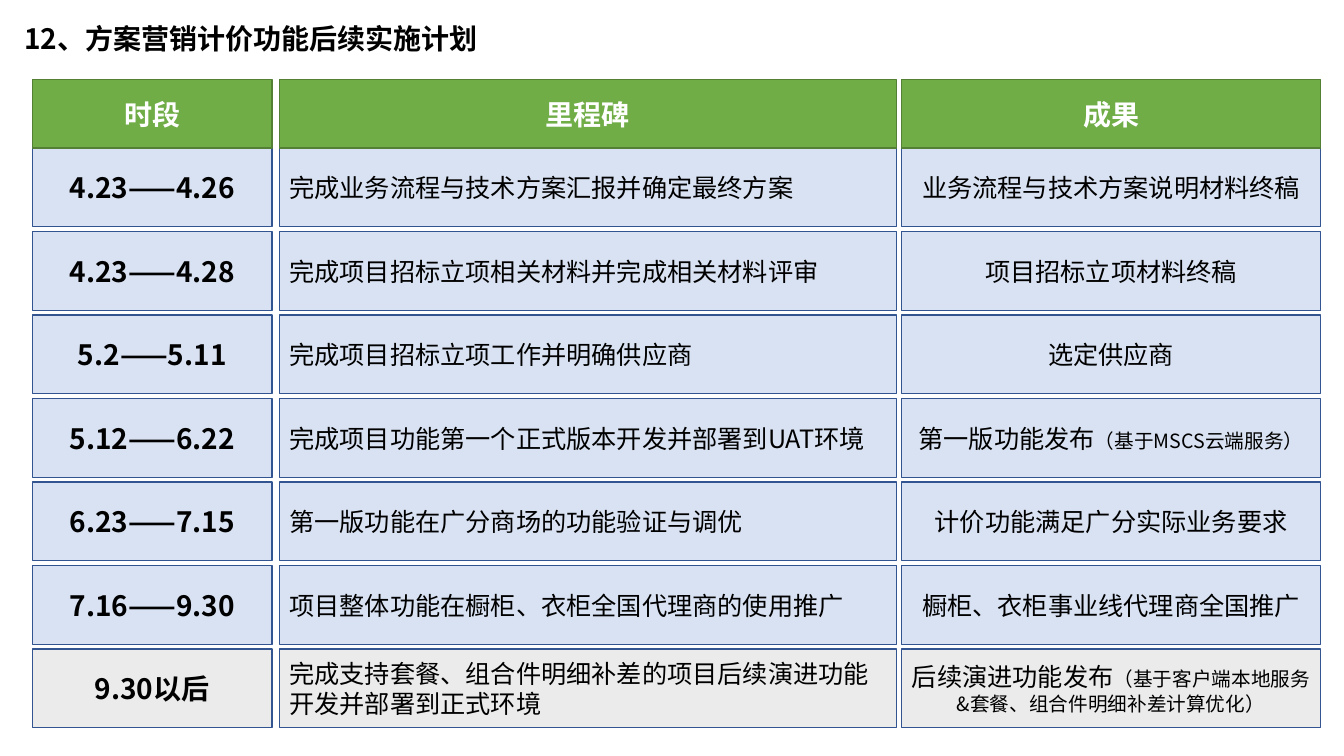
"""Build the follow-up schedule slide as a grid of time, milestone and result."""
from dataclasses import dataclass

from lxml import etree
from pptx import Presentation, util as u
from pptx.dml import color as col
from pptx.enum import shapes, text
from pptx.oxml import ns

FONT = "Noto Sans CJK SC"
LEFT, MID = text.PP_ALIGN.LEFT, text.PP_ALIGN.CENTER
HEAD_TOP, HEAD_H = 0.79, 0.68
FIRST, LAST, ROW_H = 1.47, 6.44, 0.78


@dataclass
class Col:
    head: str
    left: float
    width: float
    size: int = 18
    bold: bool = False
    align: text.PP_ALIGN = MID


@dataclass
class Row:
    time: str
    goal: str
    result: str
    note: str = ""
    fill: str = "B4C7E7"


COLS = [
    Col("时段", 0.32, 2.38, size=20, bold=True),
    Col("里程碑", 2.77, 6.12, align=LEFT),
    Col("成果", 8.94, 4.16),
]
ROWS = [
    Row("4.23——4.26", "完成业务流程与技术方案汇报并确定最终方案", "业务流程与技术方案说明材料终稿"),
    Row("4.23——4.28", "完成项目招标立项相关材料并完成相关材料评审", "项目招标立项材料终稿"),
    Row("5.2——5.11", "完成项目招标立项工作并明确供应商", "选定供应商"),
    Row("5.12——6.22", "完成项目功能第一个正式版本开发并部署到UAT环境",
        "第一版功能发布", "（基于MSCS云端服务）"),
    Row("6.23——7.15", "第一版功能在广分商场的功能验证与调优", "计价功能满足广分实际业务要求"),
    Row("7.16——9.30", "项目整体功能在橱柜、衣柜全国代理商的使用推广", "橱柜、衣柜事业线代理商全国推广"),
    Row("9.30以后", "完成支持套餐、组合件明细补差的项目后续演进功能开发并部署到正式环境",
        "后续演进功能发布", "（基于客户端本地服务&套餐、组合件明细补差计算优化）", fill="D9D9D9"),
]


def paint(form, hue: str) -> None:
    if hasattr(form, "solid"):
        form.solid()
        form = form.fore_color
    form.rgb = col.RGBColor.from_string(hue)


def write(para, words: str, *, size: int = 18, bold: bool = False,
          hue: str = "000000", align: text.PP_ALIGN = LEFT) -> None:
    para.alignment = align
    run = para.add_run()
    run.text = words
    font = run.font
    font.name, font.size, font.bold = FONT, u.Pt(size), bold
    paint(font.color, hue)
    latin = font._element.find(ns.qn("a:latin"))
    asian = etree.Element(ns.qn("a:ea"), typeface=FONT)
    latin.addnext(asian)


def box(slide, spot: Col, top: float, high: float, fill: str, line: str,
        clear: bool = False):
    cell = slide.shapes.add_shape(
        shapes.MSO_SHAPE.RECTANGLE, u.Inches(spot.left), u.Inches(top),
        u.Inches(spot.width), u.Inches(high))
    cell.shadow.inherit = False
    paint(cell.fill, fill)
    if clear:
        tint = cell._element.spPr.find(".//" + ns.qn("a:srgbClr"))
        etree.SubElement(tint, ns.qn("a:alpha"), val="50000")
    paint(cell.line.fill, line)
    cell.line.width = u.Pt(1)
    frame = cell.text_frame
    frame.word_wrap = True
    frame.vertical_anchor = text.MSO_ANCHOR.MIDDLE
    return frame.paragraphs[0]


def main() -> None:
    deck = Presentation()
    deck.slide_width, deck.slide_height = u.Inches(13.33), u.Inches(7.5)
    slide = deck.slides.add_slide(deck.slide_layouts[6])

    title = slide.shapes.add_textbox(
        u.Inches(0.14), u.Inches(0.16), u.Inches(12.91), u.Inches(0.44)).text_frame
    title.word_wrap = True
    write(title.paragraphs[0], "12、方案营销计价功能后续实施计划", size=20, bold=True)

    step = (LAST - FIRST) / (len(ROWS) - 1)
    for i, row in enumerate(ROWS):
        for spot, words in zip(COLS, (row.time, row.goal, row.result)):
            para = box(slide, spot, FIRST + i * step, ROW_H, row.fill, "325491", clear=True)
            write(para, words, size=spot.size, bold=spot.bold, align=spot.align)
        if row.note:
            write(para, row.note, size=14, align=MID)

    for spot in COLS:
        para = box(slide, spot, HEAD_TOP, HEAD_H, "70AD47", "538035")
        write(para, spot.head, size=20, bold=True, hue="FFFFFF", align=MID)

    deck.save("out.pptx")


if __name__ == "__main__":
    main()
